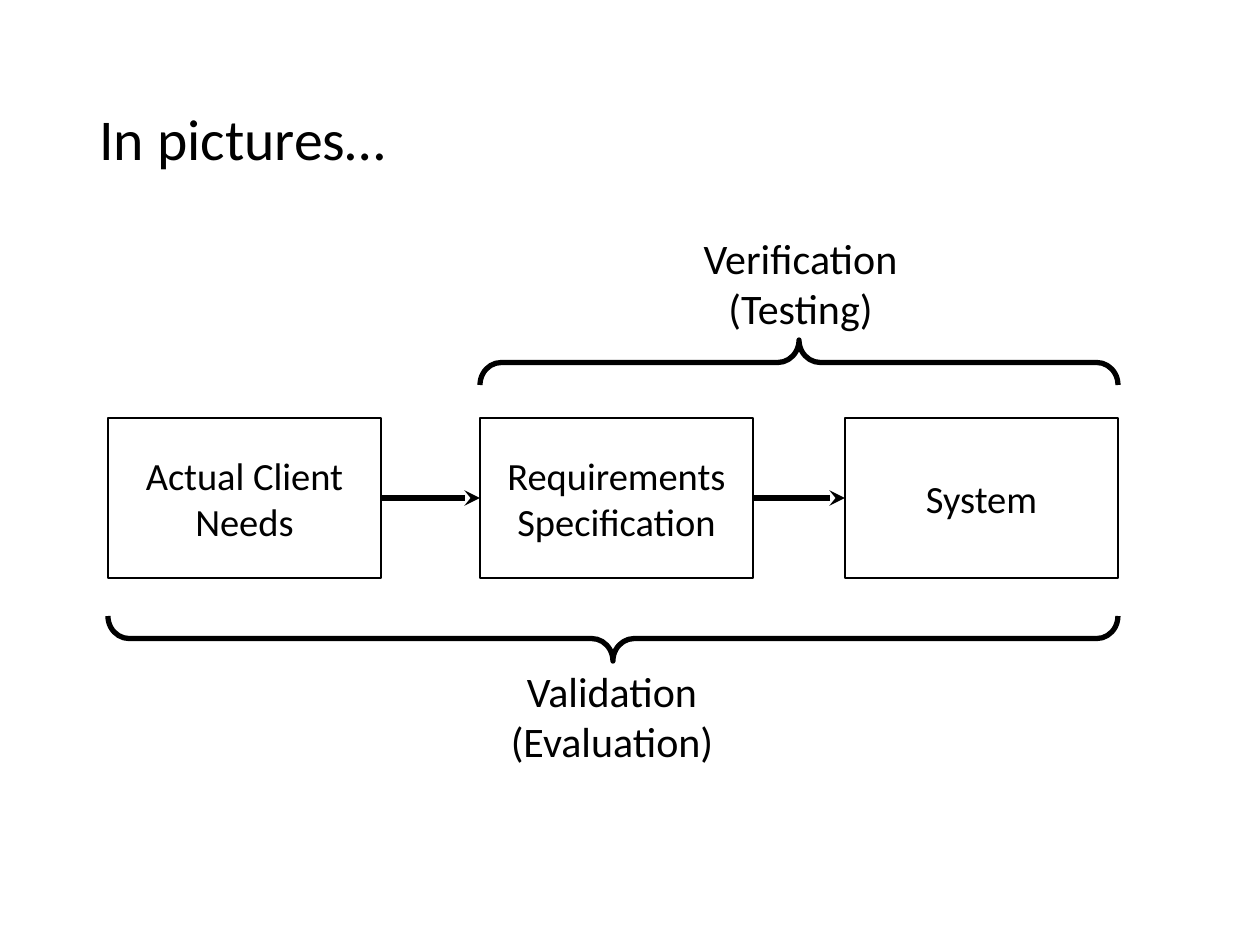
from dataclasses import dataclass

from lxml import etree
from pptx import Presentation
from pptx.dml.color import RGBColor
from pptx.enum.shapes import MSO_CONNECTOR, MSO_SHAPE
from pptx.enum.text import MSO_ANCHOR, PP_ALIGN
from pptx.oxml.ns import qn
from pptx.util import Pt

RECTANGLE, LEFT_BRACE = MSO_SHAPE.RECTANGLE, MSO_SHAPE.LEFT_BRACE
STRAIGHT = MSO_CONNECTOR.STRAIGHT
TOP, MIDDLE = MSO_ANCHOR.TOP, MSO_ANCHOR.MIDDLE
LEFT, CENTER = PP_ALIGN.LEFT, PP_ALIGN.CENTER
LEFT_SIDE, RIGHT_SIDE = 1, 3
OPENS_DOWN, OPENS_UP = 90, 270


@dataclass(frozen=True)
class Theme:
    font: str = "Calibri"
    ink: RGBColor = RGBColor(0, 0, 0)
    paper: RGBColor = RGBColor(255, 255, 255)
    title_size: float = 33
    label_size: float = 24
    box_size: float = 22
    thin: float = 0.75
    thick: float = 3


def px(length):
    return round(length * 914400 / 126)


def write(frame, text, *, theme, size, align=CENTER, anchor=TOP, wrap=True, spacing=None):
    """Fill a text frame, one paragraph per line of text."""
    frame.word_wrap = wrap
    frame.vertical_anchor = anchor
    for number, line in enumerate(text.split("\n")):
        paragraph = frame.add_paragraph() if number else frame.paragraphs[0]
        paragraph.alignment = align
        paragraph.line_spacing = spacing
        run = paragraph.add_run()
        run.text = line
        run.font.name = theme.font
        run.font.size = Pt(size)
        run.font.color.rgb = theme.ink


class Diagram:
    def __init__(self, slide, theme):
        self.slide = slide
        self.theme = theme

    def stroke(self, line, width):
        line.color.rgb = self.theme.ink
        line.width = Pt(width)

    def text(self, text, left, top, width, height, **style):
        area = self.slide.shapes.add_textbox(px(left), px(top), px(width), px(height))
        write(area.text_frame, text, theme=self.theme, **style)

    def box(self, text, left, top, width, height):
        box = self.slide.shapes.add_shape(RECTANGLE, px(left), px(top), px(width), px(height))
        box.shadow.inherit = False
        box.fill.solid()
        box.fill.fore_color.rgb = self.theme.paper
        self.stroke(box.line, self.theme.thin)
        write(box.text_frame, text, theme=self.theme, size=self.theme.box_size, anchor=MIDDLE)
        return box

    def arrow(self, source, target):
        arrow = self.slide.shapes.add_connector(STRAIGHT, 0, 0, 0, 0)
        arrow.begin_connect(source, RIGHT_SIDE)
        arrow.end_connect(target, LEFT_SIDE)
        self.stroke(arrow.line, self.theme.thick)
        etree.SubElement(arrow.line._get_or_add_ln(), qn("a:tailEnd"), type="stealth")
        etree.SubElement(arrow._element.spPr, qn("a:effectLst"))

    def brace(self, left, top, length, depth, rotation):
        """Turn an upright brace so that it spans length from left."""
        shift = (length - depth) / 2
        brace = self.slide.shapes.add_shape(
            LEFT_BRACE, px(left + shift), px(top - shift), px(depth), px(length))
        brace.rotation = rotation
        brace.adjustments[0], brace.adjustments[1] = 0.47, 0.5
        brace.shadow.inherit = False
        brace.fill.background()
        self.stroke(brace.line, self.theme.thick)


def main():
    deck = Presentation()
    deck.slide_width, deck.slide_height = px(1260), px(945)
    theme = Theme()
    diagram = Diagram(deck.slides.add_slide(deck.slide_layouts[6]), theme)

    # Title
    diagram.text("In pictures…", 87, 50, 1086, 183, size=theme.title_size,
                 align=LEFT, anchor=MIDDLE, spacing=0.9)

    # Chain from needs to system
    box_top, box_width, box_height = 418, 273, 160
    needs_left, requirements_left, system_left = 108, 480, 845
    stages = [
        diagram.box(text, left, box_top, box_width, box_height)
        for text, left in (("Actual Client Needs", needs_left),
                           ("Requirements\nSpecification", requirements_left),
                           ("System", system_left))
    ]
    for source, target in zip(stages, stages[1:]):
        diagram.arrow(source, target)

    # Braces over the stages that each activity covers
    chain_right = system_left + box_width
    brace_depth = 45
    diagram.brace(needs_left, 616, chain_right - needs_left, brace_depth, OPENS_UP)
    diagram.brace(requirements_left, 340, chain_right - requirements_left,
                  brace_depth, OPENS_DOWN)

    # Activity labels
    label = {"size": theme.label_size, "wrap": False}
    diagram.text("Verification\n(Testing)", 670, 226, 261, 116, **label)
    diagram.text("Validation\n(Evaluation)", 496, 659, 232, 63, **label)

    deck.save("out.pptx")


if __name__ == "__main__":
    main()
